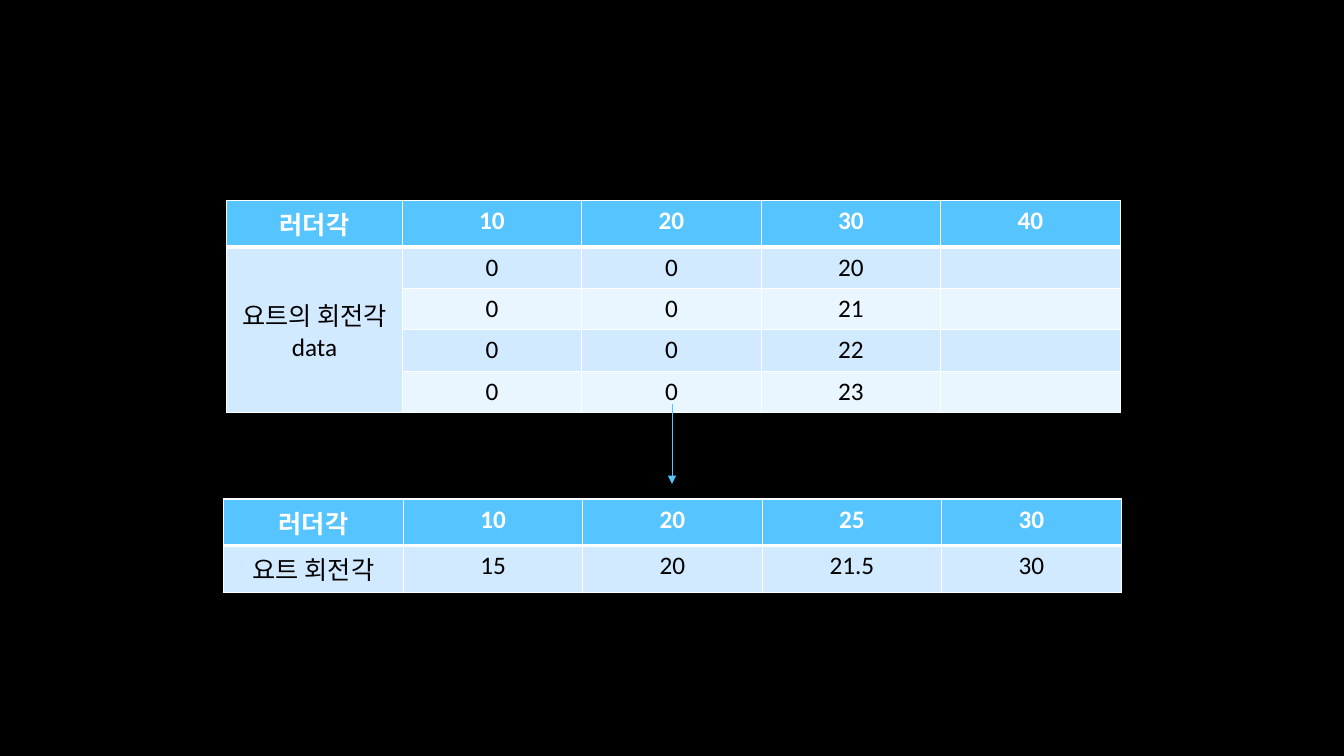
from lxml.etree import SubElement
from pptx import Presentation
from pptx.dml.color import RGBColor
from pptx.enum.shapes import MSO_CONNECTOR
from pptx.enum.text import MSO_ANCHOR, PP_ALIGN
from pptx.oxml.ns import qn
from pptx.util import Inches, Pt

SKY, PALE, PALER, WHITE, BLACK = "56C5FF", "D1EAFF", "E9F5FF", "FFFFFF", "000000"
COLUMN, ROW = 1.78, 0.41


def paint(fill, colour):
    fill.solid()
    fill.fore_color.rgb = RGBColor.from_string(colour)


def write(cell, text, colour=BLACK, bold=False, anchor=MSO_ANCHOR.TOP):
    cell.vertical_anchor = anchor
    cell.text = text
    for paragraph in cell.text_frame.paragraphs:
        paragraph.alignment = PP_ALIGN.CENTER
        paragraph.font.size = Pt(18)
        for run in paragraph.runs:
            run.font.name = "Calibri"
            run.font.size = Pt(18)
            run.font.bold = bold
            paint(run.font.fill, colour)


deck = Presentation()
deck.slide_width, deck.slide_height = Inches(13.33), Inches(7.5)
slide = deck.slides.add_slide(deck.slide_layouts[6])
paint(slide.background.fill, BLACK)

measured = [
    ["러더각", "10", "20", "30", "40"],
    ["요트의 회전각\ndata", "0", "0", "20", ""],
    ["", "0", "0", "21", ""],
    ["", "0", "0", "22", ""],
    ["", "0", "0", "23", ""],
]
averaged = [
    ["러더각", "10", "20", "25", "30"],
    ["요트 회전각", "15", "20", "21.5", "30"],
]

for rows, left, top, label_width in (
    (measured, 2.25, 1.99, 1.74),
    (averaged, 2.22, 4.95, COLUMN),
):
    widths = [label_width] + [COLUMN] * 4
    table = slide.shapes.add_table(
        len(rows), len(widths), Inches(left), Inches(top),
        Inches(sum(widths)), Inches(ROW * len(rows))).table
    for column, width in zip(table.columns, widths):
        column.width = Inches(width)
    for r, values in enumerate(rows):
        table.rows[r].height = Inches(ROW)
        header = r == 0
        for c, value in enumerate(values):
            cell = table.cell(r, c)
            label = c == 0 and not header
            write(cell, value, colour=WHITE if header else BLACK, bold=header,
                  anchor=MSO_ANCHOR.MIDDLE if label and rows is measured else MSO_ANCHOR.TOP)
            borders = cell._tc.get_or_add_tcPr()
            for side in "LRTB":
                thick = (r, side) in ((0, "B"), (1, "T"))
                edge = SubElement(borders, qn(f"a:ln{side}"), w=str(Pt(3 if thick else 1)))
                SubElement(SubElement(edge, qn("a:solidFill")), qn("a:srgbClr"), val=WHITE)
            paint(cell.fill, SKY if header else PALE if r % 2 or label else PALER)
    if rows is measured:
        table.cell(1, 0).merge(table.cell(len(rows) - 1, 0))

middle = deck.slide_width // 2
arrow = slide.shapes.add_connector(
    MSO_CONNECTOR.STRAIGHT, middle, Inches(4.01), middle, Inches(4.8))
arrow.line.width = Pt(0.5)
paint(arrow.line.fill, SKY)
SubElement(arrow.line._get_or_add_ln(), qn("a:tailEnd"), type="triangle")
SubElement(arrow._element.spPr, qn("a:effectLst"))

deck.save("out.pptx")
